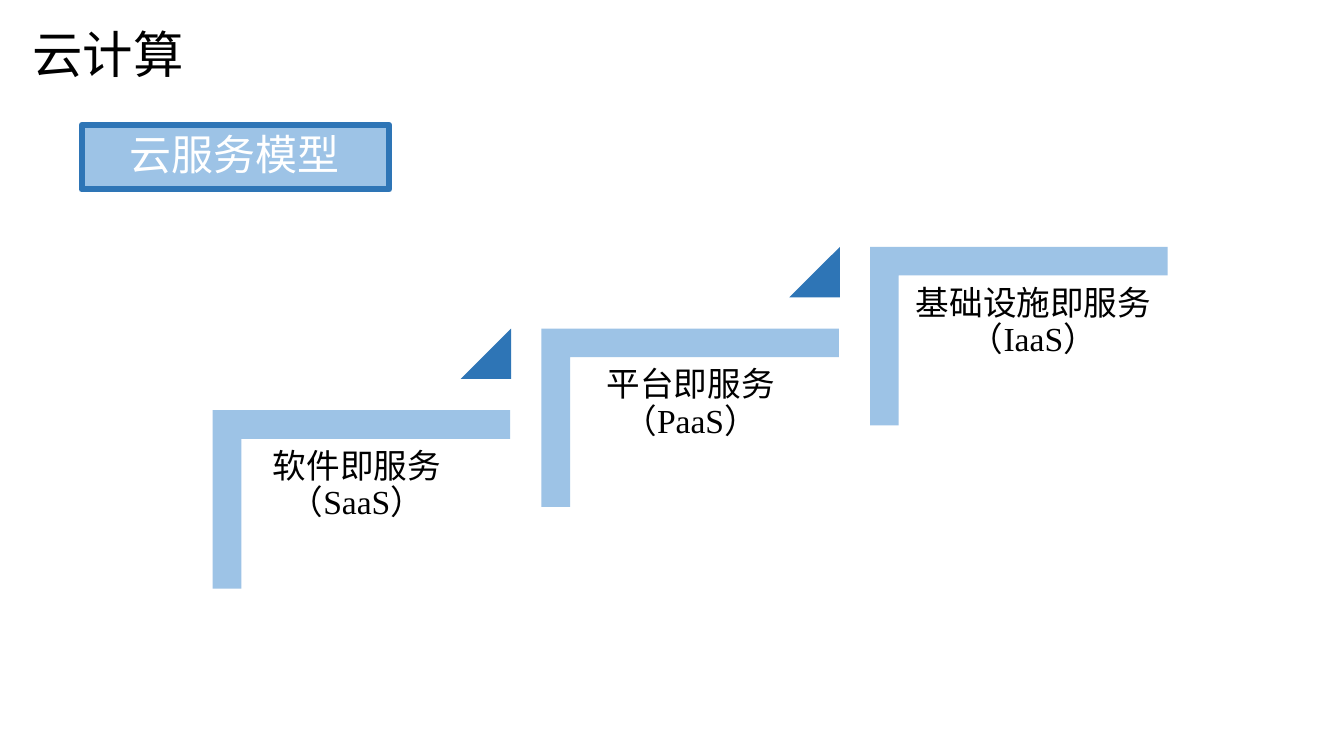
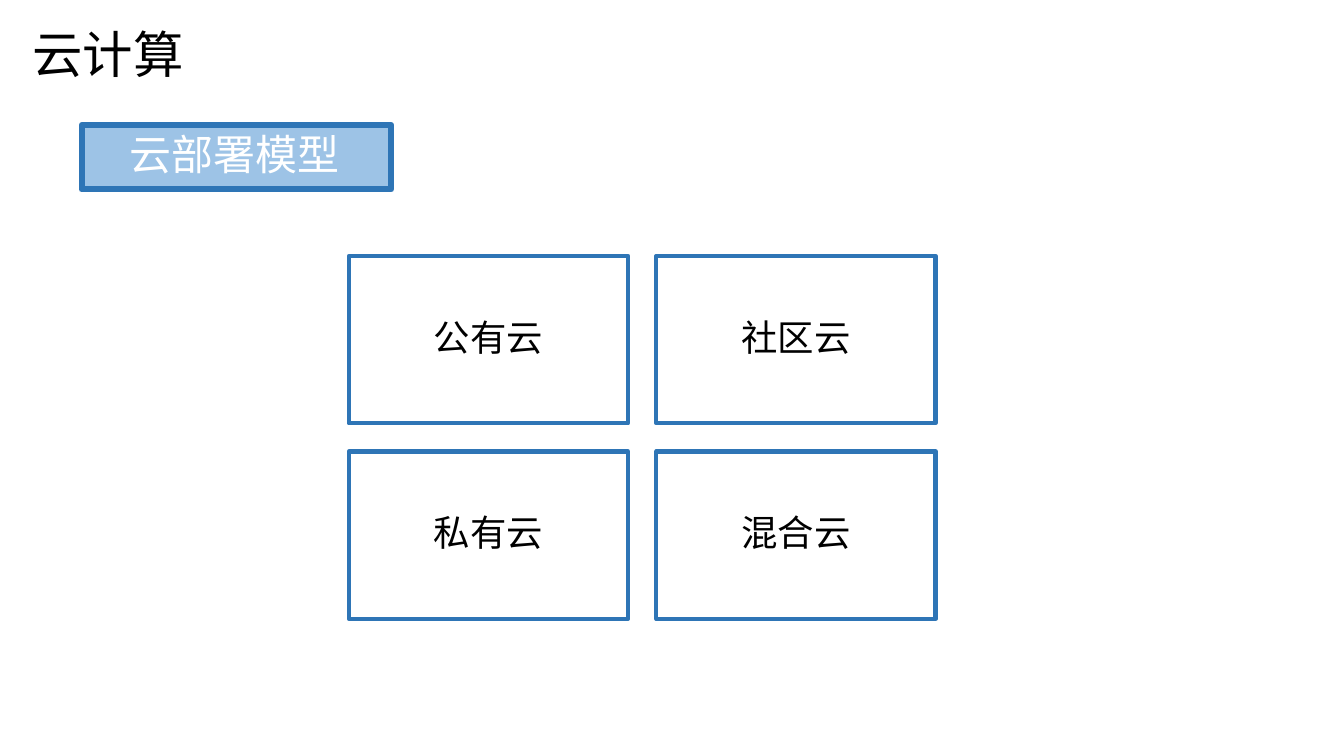
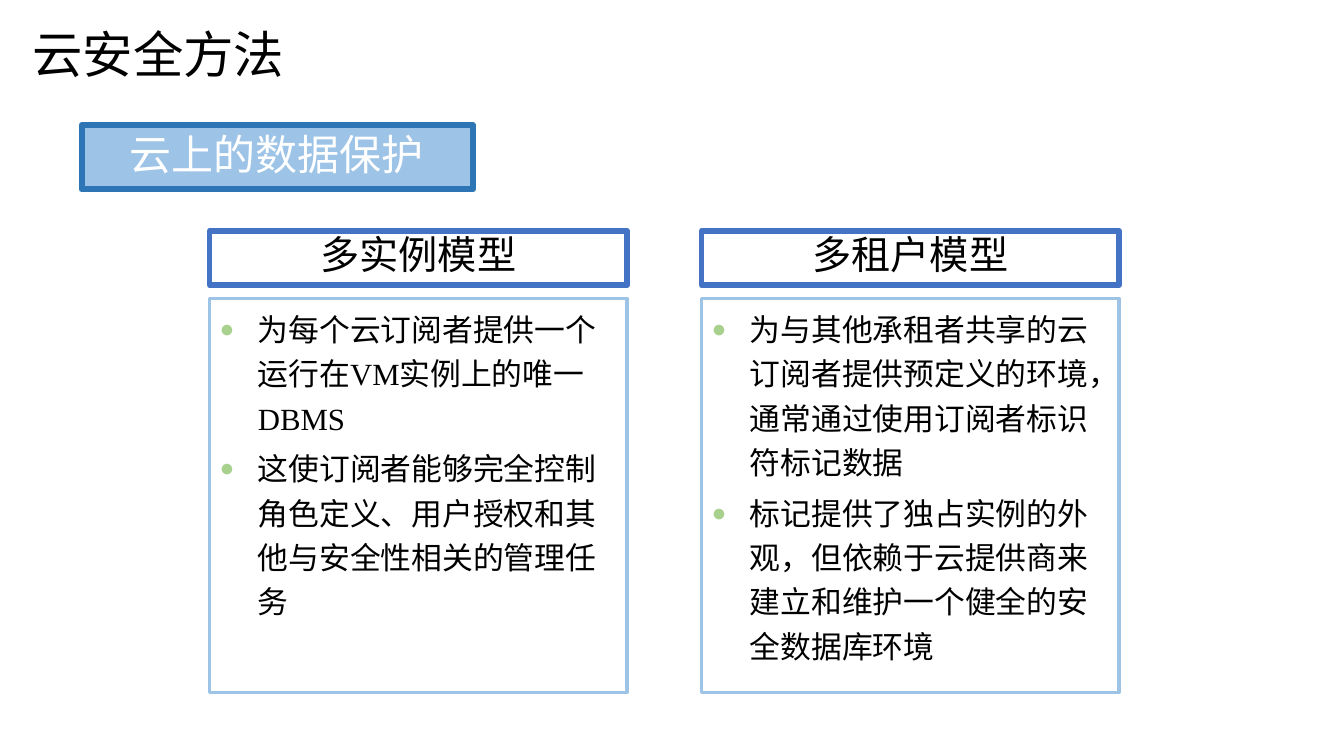
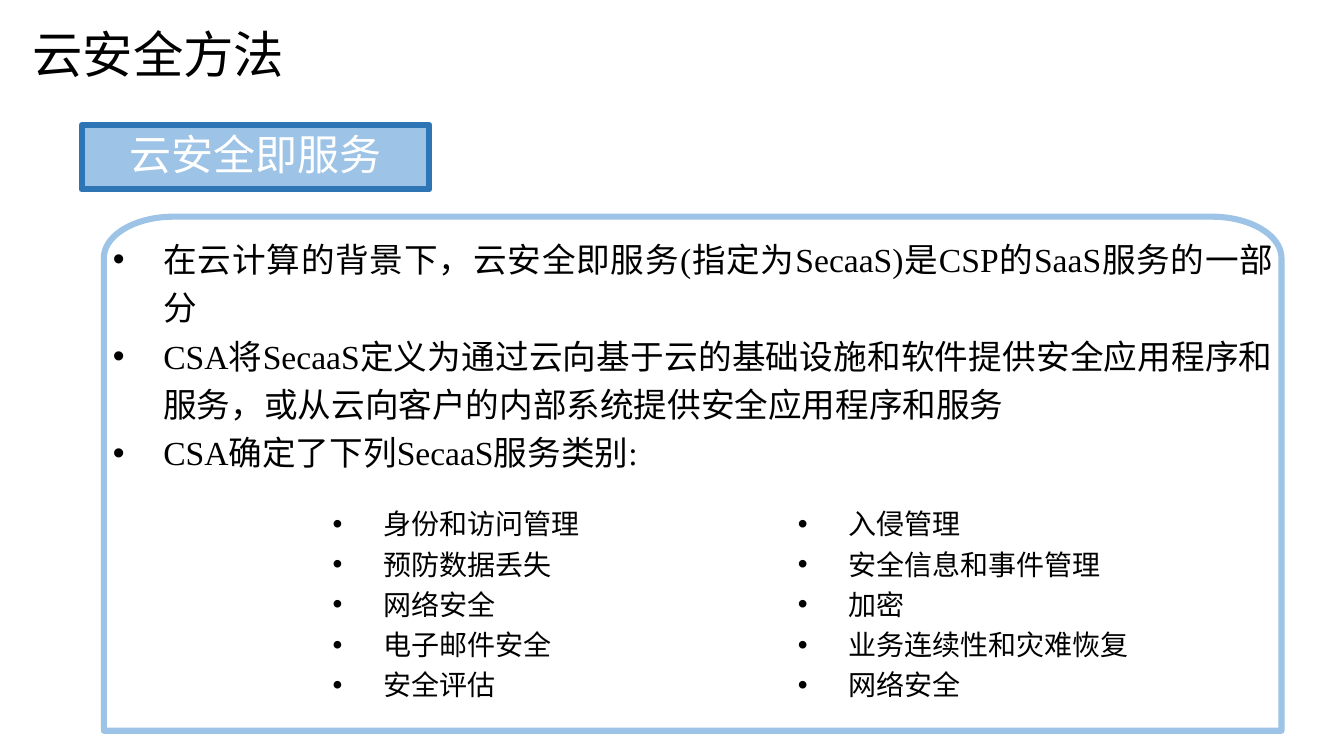
import math

from lxml import etree
from pptx import Presentation
from pptx.dml.color import RGBColor
from pptx.enum.shapes import MSO_SHAPE
from pptx.enum.text import MSO_ANCHOR, PP_ALIGN
from pptx.oxml.ns import qn
from pptx.util import Inches, Pt

BLACK = RGBColor(0x00, 0x00, 0x00)
WHITE = RGBColor(0xFF, 0xFF, 0xFF)
LIGHT_BLUE = RGBColor(0x9D, 0xC3, 0xE6)
DARK_BLUE = RGBColor(0x2E, 0x75, 0xB6)
HEADING_BLUE = RGBColor(0x44, 0x72, 0xC4)
BULLET_GREEN = "A9D18E"

CJK_FONT = "Noto Sans CJK SC"
LATIN_FONT = "Times New Roman"

RECTANGLE = MSO_SHAPE.RECTANGLE
CORNER = MSO_SHAPE.CORNER
TRIANGLE = MSO_SHAPE.ISOSCELES_TRIANGLE
TOP, MIDDLE = MSO_ANCHOR.TOP, MSO_ANCHOR.MIDDLE
LEFT, CENTER, JUSTIFY = PP_ALIGN.LEFT, PP_ALIGN.CENTER, PP_ALIGN.JUSTIFY

DEFAULT_INSETS = (0.1, 0.05, 0.1, 0.05)
FRAME_INSETS = (0.09, 0.14, 0.08, 0.03)


def add_element(parent, tag, **attributes):
    return etree.SubElement(parent, qn(tag), attributes)


def add_bullet(para, char, margin, hanging, color=None, percent=100):
    properties = para._p.get_or_add_pPr()
    properties.set("marL", str(Inches(margin)))
    properties.set("indent", str(-Inches(hanging)))
    if color:
        add_element(add_element(properties, "a:buClr"), "a:srgbClr", val=color)
    add_element(properties, "a:buSzPct", val=str(percent * 1000))
    add_element(properties, "a:buFont", typeface="Arial")
    add_element(properties, "a:buChar", char=char)


def write_text(shape, texts, size, font=CJK_FONT, color=BLACK, align=LEFT,
               anchor=TOP, insets=DEFAULT_INSETS, spacing=0.9, before=0, bullet=None):
    frame = shape.text_frame
    settings = {"word_wrap": True, "vertical_anchor": anchor}
    sides = ("margin_left", "margin_top", "margin_right", "margin_bottom")
    settings.update(zip(sides, map(Inches, insets)))
    for name, value in settings.items():
        setattr(frame, name, value)
    for index, text in enumerate(texts):
        para = frame.add_paragraph() if index else frame.paragraphs[0]
        if bullet:
            add_bullet(para, **bullet)
        para.alignment = align
        para.line_spacing = spacing
        para.space_before = Pt(before if index else 0)
        span = para.add_run()
        span.text = text
        for name, value in {"size": Pt(size), "name": font}.items():
            setattr(span.font, name, value)
        span.font.color.rgb = color
        add_element(span._r.get_or_add_rPr(), "a:ea", typeface=CJK_FONT)


def paint(shape, fill=None, line=None, width=0):
    shape.shadow.inherit = False
    if fill is None:
        shape.fill.background()
    else:
        shape.fill.solid()
        shape.fill.fore_color.rgb = fill
    if line is None:
        shape.line.fill.background()
    else:
        shape.line.color.rgb = line
        shape.line.width = Pt(width)
        add_element(shape.line._get_or_add_ln(), "a:round")


def add_box(page, kind, area, **style):
    box = page.shapes.add_shape(kind, *map(Inches, area))
    paint(box, **style)
    return box


def add_text(page, area, texts, size, **style):
    box = page.shapes.add_textbox(*map(Inches, area))
    write_text(box, texts, size, **style)
    return box


def add_page(deck, title, topic, topic_width):
    """Add a slide with the shared title and the banner naming its topic."""
    page = deck.slides.add_slide(deck.slide_layouts[6])
    add_text(page, (0.21, 0, 5.91, 1.06), [title], 36, anchor=MIDDLE, spacing=1,
             insets=(0.11, 0.06, 0.11, 0.06))
    banner = add_box(page, RECTANGLE, (0.81, 1.24, topic_width, 0.64),
                     fill=LIGHT_BLUE, line=DARK_BLUE, width=4.33)
    write_text(banner, [topic], 30, color=WHITE, anchor=MIDDLE, insets=(0.47, 0, 0, 0))
    return page


def add_staircase(page, steps):
    """Draw rising steps; each is a label and the left edge of its text."""
    run, rise = 3.26, 0.81
    for index, (label, label_left) in enumerate(steps):
        left, drop = index * run, index * rise
        corner = add_box(page, CORNER, (2.7 + left, 3.48 - drop, 1.77, 2.95), fill=LIGHT_BLUE)
        corner.rotation = 90
        for position in range(2):
            corner.adjustments[position] = 0.16
        add_text(page, (label_left, 4.36 - drop, 2.66, 2.33), [label], 24,
                 font=LATIN_FONT, align=CENTER, insets=(0.1,) * 4)
        if index < len(steps) - 1:
            marker = add_box(page, TRIANGLE, (4.57 + left, 3.26 - drop, 0.5, 0.5), fill=DARK_BLUE)
            marker.adjustments[0] = 1


def add_grid(page, labels, columns=2):
    width, height, gap = 2.77, 1.66, 0.28
    for index, label in enumerate(labels):
        row, column = divmod(index, columns)
        area = (3.46 + column * (width + gap), 2.54 + row * (height + gap), width, height)
        cell = add_box(page, RECTANGLE, area, line=DARK_BLUE, width=3)
        write_text(cell, [label], 26, align=CENTER, anchor=MIDDLE, insets=(0.11,) * 4)


def add_comparison(page, models):
    width, pitch = 4.14, 4.88
    bullet = {"char": "●", "margin": 0.38, "hanging": 0.38, "color": BULLET_GREEN, "percent": 80}
    for index, (heading, points) in enumerate(models):
        left = 2.08 + index * pitch
        head = add_box(page, RECTANGLE, (left, 2.29, width, 0.54), line=HEADING_BLUE, width=4)
        write_text(head, [heading], 28, align=CENTER)
        body = add_box(page, RECTANGLE, (left, 2.96, width, 3.91), line=LIGHT_BLUE, width=2.5)
        write_text(body, points, 22, font=LATIN_FONT, spacing=1.2, before=4.5, bullet=bullet)


def add_arched_frame(page, left, top, width, height, radius_x, radius_y):
    """Outline a box whose two upper corners are quarter ellipses."""
    angles = [math.radians(degrees) for degrees in range(0, 91, 5)]
    curve = [(radius_x * (1 - math.cos(angle)), radius_y * (1 - math.sin(angle)))
             for angle in angles]
    outline = [(0, height)] + curve
    outline += [(width - x, y) for x, y in reversed(outline)]
    points = [(Inches(left + x), Inches(top + y)) for x, y in outline]
    builder = page.shapes.build_freeform(*points[0])
    builder.add_line_segments(points[1:], close=True)
    frame = builder.convert_to_shape()
    paint(frame, fill=WHITE, line=LIGHT_BLUE, width=4.33)
    return frame


def add_service_list(page, points, categories):
    shared = {"font": LATIN_FONT, "align": JUSTIFY, "insets": FRAME_INSETS, "spacing": 1.2}
    frame = add_arched_frame(page, 1.03, 2.15, 11.68, 5.1, 0.69, 0.41)
    write_text(frame, points, 24, bullet={"char": "•", "margin": 0.5, "hanging": 0.5}, **shared)
    listing = add_text(page, (2.18, 4.82, 9.4, 2.19), categories, 20,
                       bullet={"char": "•", "margin": 1.53, "hanging": 0.5}, **shared)
    listing.text_frame._txBody.bodyPr.set("numCol", "2")


def main():
    deck = Presentation()
    deck.slide_width, deck.slide_height = Inches(13.33), Inches(7.5)

    page = add_page(deck, "云计算", "云服务模型", 3.05)
    add_staircase(page, [
        ("软件即服务（SaaS）", 2.21),
        ("平台即服务（PaaS）", 5.52),
        ("基础设施即服务（IaaS）", 8.92),
    ])

    page = add_page(deck, "云计算", "云部署模型", 3.07)
    add_grid(page, ["公有云", "社区云", "私有云", "混合云"])

    page = add_page(deck, "云安全方法", "云上的数据保护", 3.88)
    add_comparison(page, [
        ("多实例模型", [
            "为每个云订阅者提供一个运行在VM实例上的唯一DBMS",
            "这使订阅者能够完全控制角色定义、用户授权和其他与安全性相关的管理任务",
        ]),
        ("多租户模型", [
            "为与其他承租者共享的云订阅者提供预定义的环境，通常通过使用订阅者标识符标记数据",
            "标记提供了独占实例的外观，但依赖于云提供商来建立和维护一个健全的安全数据库环境",
        ]),
    ])

    page = add_page(deck, "云安全方法", "云安全即服务", 3.45)
    add_service_list(page, [
        "在云计算的背景下，云安全即服务(指定为SecaaS)是CSP的SaaS服务的一部分",
        "CSA将SecaaS定义为通过云向基于云的基础设施和软件提供安全应用程序和服务，"
        "或从云向客户的内部系统提供安全应用程序和服务",
        "CSA确定了下列SecaaS服务类别:",
    ], [
        "身份和访问管理", "预防数据丢失", "网络安全", "电子邮件安全", "安全评估",
        "入侵管理", "安全信息和事件管理", "加密", "业务连续性和灾难恢复", "网络安全",
    ])

    deck.save("out.pptx")


if __name__ == "__main__":
    main()
